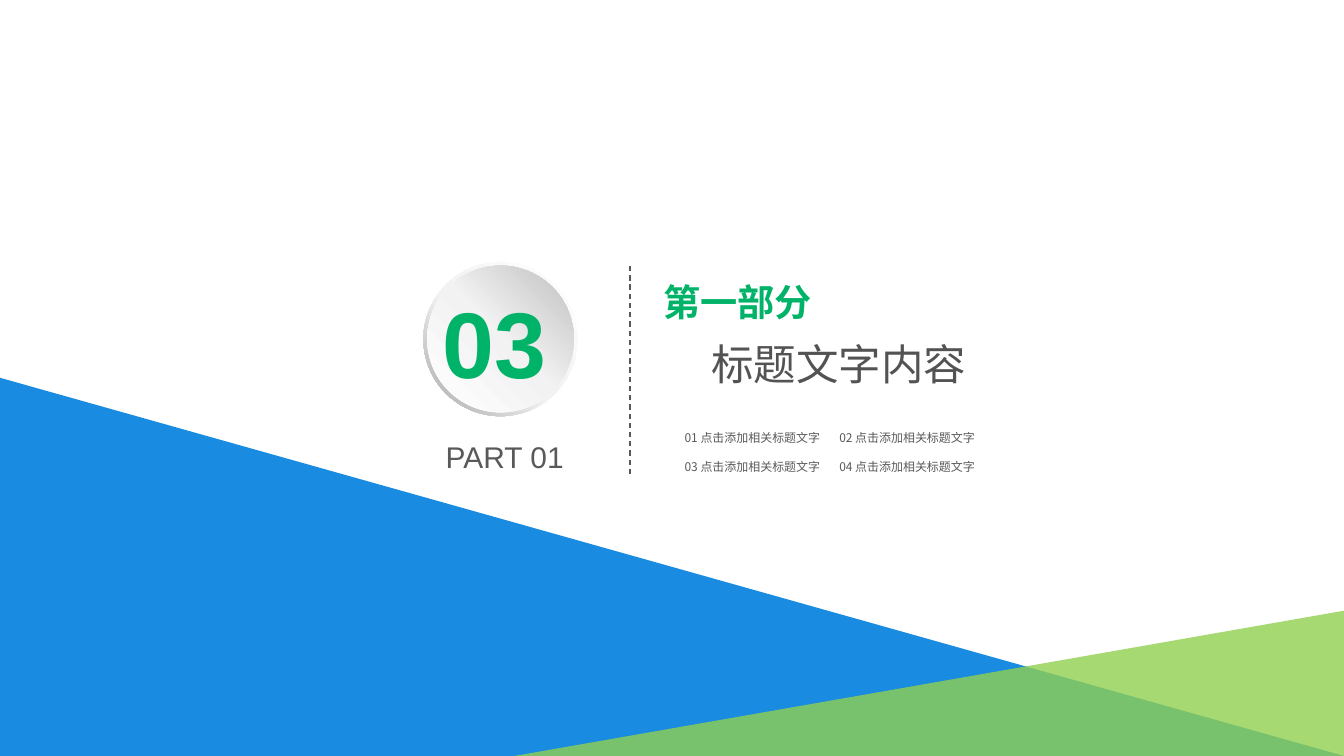
from lxml.etree import SubElement
from pptx import Presentation
from pptx.dml.color import RGBColor
from pptx.enum.dml import MSO_LINE
from pptx.enum.shapes import MSO_CONNECTOR, MSO_SHAPE
from pptx.oxml.ns import qn
from pptx.util import Cm, Pt

# Content
NUMBER = "03"
PART = "PART 01"
HEADING = "第一部分"
TITLE = "标题文字内容"
ITEMS = ["01 点击添加相关标题文字", "02 点击添加相关标题文字",
         "03 点击添加相关标题文字", "04 点击添加相关标题文字"]

# Theme
SANS, CJK = "Arial", "Noto Sans CJK SC"
THEME = {
    "blue": "007FDE", "lime": "92D050", "dash": "595959",
    "number": dict(size=70.3, name=SANS, color="00B369", bold=True),
    "part": dict(size=22.5, name=SANS, color="595959", bold=False),
    "heading": dict(size=28, name=CJK, color="00B369", bold=True),
    "title": dict(size=32, name=CJK, color="535353", bold=False),
    "item": dict(size=9, name=CJK, color="595959", bold=False),
    "rim": ([(0, "FFFFFF"), (55, "F2F2F2"), (100, "A6A6A6")], 135),
    "face": ([(0, "FFFFFF"), (51, "F2F2F2"), (100, "BFBFBF")], 315),
}

# Layout in centimetres
WIDTH, HEIGHT = 35.71, 20.09
TRIANGLES = [
    ([(0, 10.04), (WIDTH, HEIGHT), (0, HEIGHT)], "blue", 90),
    ([(WIDTH, 16.23), (13.67, HEIGHT), (WIDTH, HEIGHT)], "lime", 80),
]
DISC_X, DISC_Y, DISC_SIZE, RIM = 11.25, 6.96, 4.1, 0.1
ITEM_X, ITEM_Y, ITEM_DX, ITEM_DY = 17.96, 11.3, 4.11, 0.79

prs = Presentation()
prs.slide_width, prs.slide_height = Cm(WIDTH), Cm(HEIGHT)
s = prs.slides.add_slide(prs.slide_layouts[6])


def add_triangle(points, color, opacity):
    pts = [(Cm(x), Cm(y)) for x, y in points]
    builder = s.shapes.build_freeform(*pts[0], scale=1)
    builder.add_line_segments(pts[1:], close=True)
    sp = builder.convert_to_shape()
    sp.shadow.inherit = False
    sp.line.fill.background()
    sp.fill.solid()
    sp.fill.fore_color.rgb = RGBColor.from_string(THEME[color])
    clr = sp._element.spPr.find(qn("a:solidFill"))[0]
    SubElement(clr, qn("a:alpha"), val=str(opacity * 1000))


def add_disc(group, preset, inset, gradient):
    size = Cm(DISC_SIZE - 2 * inset)
    sp = group.shapes.add_shape(preset, Cm(DISC_X + inset), Cm(DISC_Y + inset), size, size)
    sp.shadow.inherit = False
    sp.line.fill.background()
    stops, angle = THEME[gradient]
    sp.fill.gradient()
    grad = sp._element.spPr.find(qn("a:gradFill"))
    for child in list(grad):
        grad.remove(child)
    stop_list = SubElement(grad, qn("a:gsLst"))
    for pos, color in stops:
        stop = SubElement(stop_list, qn("a:gs"), pos=str(pos * 1000))
        SubElement(stop, qn("a:srgbClr"), val=color)
    SubElement(grad, qn("a:lin"), ang=str(angle * 60000), scaled="0")
    return sp


def add_text(x, y, w, h, lines, inset=(0, 0), wrap=True):
    """Each line is (text, style, left indent in cm, space before in points)."""
    tf = s.shapes.add_textbox(Cm(x), Cm(y), Cm(w), Cm(h)).text_frame
    tf.word_wrap = wrap
    tf.margin_left = tf.margin_right = Cm(inset[0])
    tf.margin_top = tf.margin_bottom = Cm(inset[1])
    for i, (text, style, indent, before) in enumerate(lines):
        p = tf.add_paragraph() if i else tf.paragraphs[0]
        if indent:
            p._p.get_or_add_pPr().set("marL", str(Cm(indent)))
        if before:
            p.space_before = Pt(before)
        r = p.add_run()
        r.text = text
        fmt = dict(THEME[style])
        r.font.color.rgb = RGBColor.from_string(fmt.pop("color"))
        fmt["size"] = Pt(fmt["size"])
        for key, value in fmt.items():
            setattr(r.font, key, value)
        SubElement(r._r.get_or_add_rPr(), qn("a:ea"), typeface=fmt["name"])


# Background triangles
for triangle in TRIANGLES:
    add_triangle(*triangle)

# Heading and title
add_text(17.25, 7.42, 9.14, 3.61,
         [(HEADING, "heading", 0.38, 0), (TITLE, "title", 1.65, 10.5)], wrap=False)

# Dashed divider
divider = s.shapes.add_connector(MSO_CONNECTOR.STRAIGHT, Cm(16.74), Cm(12.6), Cm(16.74), Cm(7.06))
divider.line.color.rgb = RGBColor.from_string(THEME["dash"])
divider.line.width = Pt(1)
divider.line.dash_style = MSO_LINE.DASH
SubElement(divider._element.spPr, qn("a:effectLst"))

# Number disc
disc = s.shapes.add_group_shape()
rim = add_disc(disc, MSO_SHAPE.DONUT, 0, "rim")
rim.adjustments[0] = 0.05
add_disc(disc, MSO_SHAPE.OVAL, RIM, "face")
add_text(11.76, 7.59, 3.53, 3, [(NUMBER, "number", 0, 0)])
add_text(11.84, 11.66, 3.53, 0.97, [(PART, "part", 0, 0)])

# Item grid, two per row
for i, item in enumerate(ITEMS):
    row, col = divmod(i, 2)
    add_text(ITEM_X + col * ITEM_DX, ITEM_Y + row * ITEM_DY, 4.2, 0.64,
             [(item, "item", 0, 0)], inset=(0.23, 0.13))

prs.save("out.pptx")
